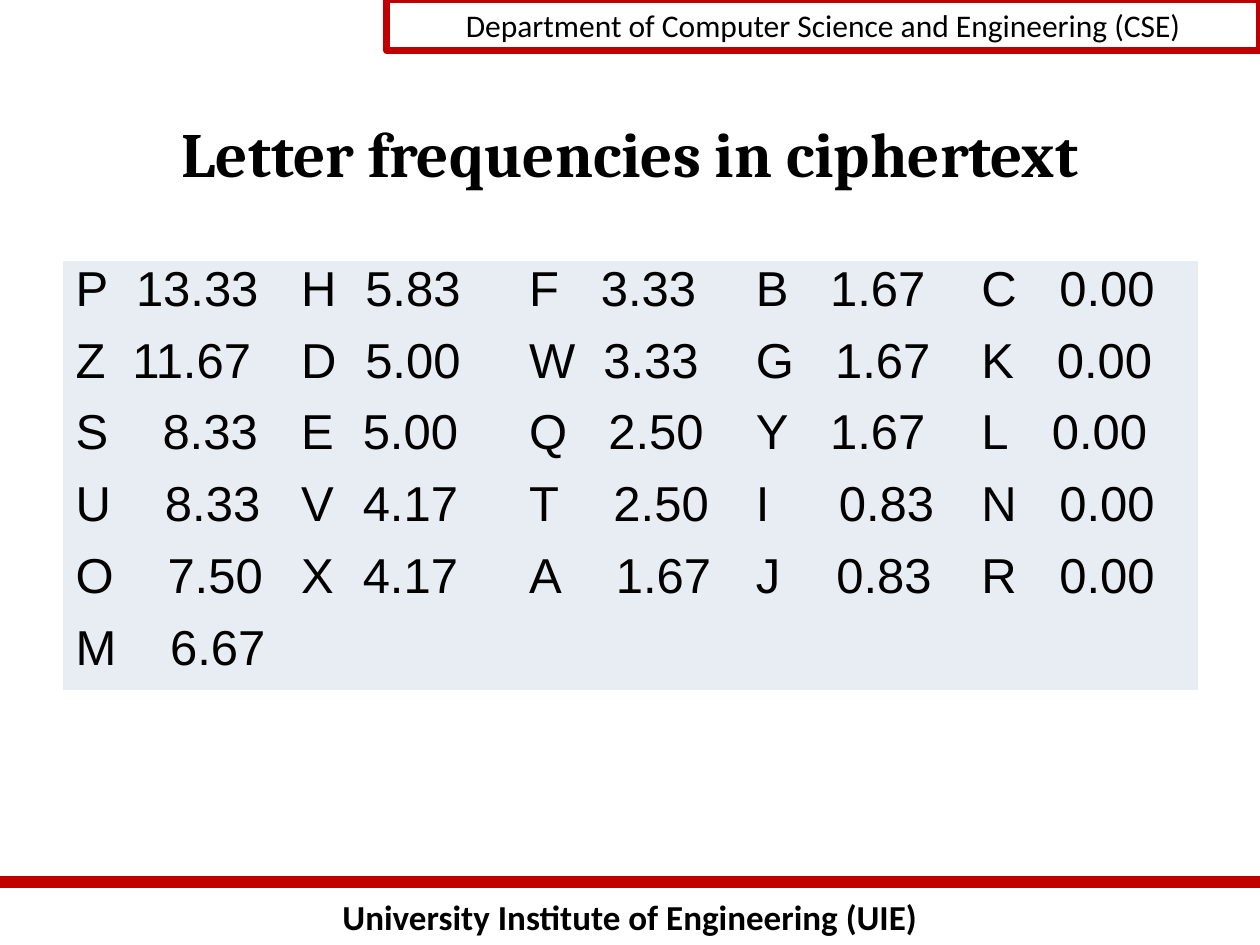
from dataclasses import dataclass

from lxml import etree
from pptx import Presentation, util as u
from pptx.dml.color import RGBColor
from pptx.enum import shapes, text
from pptx.oxml import ns


@dataclass(frozen=True)
class Theme:
    ink: str = "000000"
    accent: str = "C00000"
    panel: str = "E8ECF3"
    heading_font: str = "Cambria"
    label_font: str = "Calibri"
    data_font: str = "Arial"
    title_size: int = 36
    data_size: int = 28
    footer_size: int = 20
    header_size: int = 18


THEME = Theme()
PLAIN_TABLE = "{2D5ABB26-0587-4C30-8999-92F81FD0307C}"

# Each pair of columns: (letter width, value width), letter indent,
# then rows of letter, frequency and frequency indent
GROUPS = [
    ((0.49, 1.27), 0.10, [
        ("P", "13.33", 0.09), ("Z", "11.67", 0.06), ("S", "8.33", 0.30),
        ("U", "8.33", 0.32), ("O", "7.50", 0.34), ("M", "6.67", 0.36)]),
    ((0.52, 1.15), 0.13, [
        ("H", "5.83", 0.12), ("D", "5.00", 0.12), ("E", "5.00", 0.10),
        ("V", "4.17", 0.10), ("X", "4.17", 0.10)]),
    ((0.74, 1.16), 0.27, [
        ("F", "3.33", 0.10), ("W", "3.33", 0.12), ("Q", "2.50", 0.16),
        ("T", "2.50", 0.20), ("A", "1.67", 0.22)]),
    ((0.62, 1.16), 0.17, [
        ("B", "1.67", 0.14), ("G", "1.67", 0.18), ("Y", "1.67", 0.14),
        ("I", "0.83", 0.21), ("J", "0.83", 0.19)]),
    ((0.61, 1.29), 0.18, [
        ("C", "0.00", 0.19), ("K", "0.00", 0.17), ("L", "0.00", 0.13),
        ("N", "0.00", 0.19), ("R", "0.00", 0.19)]),
]
ROW_HEIGHTS = [0.55, 0.57, 0.57, 0.57, 0.57, 0.58]


def color(value):
    return RGBColor.from_string(value)


def write(frame, words, *, font, size, bold=False, align=text.PP_ALIGN.LEFT):
    para = frame.paragraphs[0]
    para.alignment = align
    span = para.add_run()
    span.text = words
    span.font.name, span.font.size = font, u.Pt(size)
    span.font.bold = bold
    span.font.color.rgb = color(THEME.ink)


class Slide:
    """Places elements by shares of the page's width and height."""

    def __init__(self, deck, theme):
        self.deck, self.theme = deck, theme
        self.page = deck.slides.add_slide(deck.slide_layouts[6])

    def area(self, *shares):
        sides = (self.deck.slide_width, self.deck.slide_height) * 2
        return [round(share * side) for share, side in zip(shares, sides)]

    def label(self, words, shares, *, anchor=text.MSO_ANCHOR.TOP, **style):
        box = self.page.shapes.add_textbox(*self.area(*shares))
        box.text_frame.word_wrap = True
        box.text_frame.vertical_anchor = anchor
        write(box.text_frame, words, align=text.PP_ALIGN.CENTER, **style)

    def framed_label(self, words, shares, *, width, **style):
        box = self.page.shapes.add_shape(
            shapes.MSO_SHAPE.RECTANGLE, *self.area(*shares))
        box.shadow.inherit = False
        box.fill.background()
        box.line.color.rgb = color(self.theme.accent)
        box.line.width = u.Pt(width)
        box.text_frame.word_wrap = True
        box.text_frame.vertical_anchor = text.MSO_ANCHOR.TOP
        write(box.text_frame, words, align=text.PP_ALIGN.CENTER, **style)

    def rule(self, height, *, width):
        line = self.page.shapes.add_connector(
            shapes.MSO_CONNECTOR.STRAIGHT, *self.area(0, height, 1, height))
        line.line.color.rgb = color(self.theme.accent)
        line.line.width = u.Pt(width)
        etree.SubElement(line._element.spPr, ns.qn("a:effectLst"))

    def frequency_table(self, groups, heights, shares):
        widths = [width for pair, _, _ in groups for width in pair]
        frame = self.page.shapes.add_table(
            len(heights), len(widths), *self.area(*shares))
        table = frame.table
        table.first_row = table.horz_banding = False
        table._tbl.tblPr.find(ns.qn("a:tableStyleId")).text = PLAIN_TABLE
        for column, width in zip(table.columns, widths):
            column.width = u.Inches(width)
        for row, height in zip(table.rows, heights):
            row.height = u.Inches(height)
        for cell in table.iter_cells():
            cell.fill.solid()
            cell.fill.fore_color.rgb = color(self.theme.panel)
        for pair, (_, letter_indent, entries) in enumerate(groups):
            for row, (letter, value, value_indent) in enumerate(entries):
                top = 0.03 if row else 0.01
                self.fill_cell(table.cell(row, 2 * pair), letter,
                               letter_indent, top)
                self.fill_cell(table.cell(row, 2 * pair + 1), value,
                               value_indent, top)

    def fill_cell(self, cell, words, indent, top):
        cell.margin_left, cell.margin_top = u.Inches(indent), u.Inches(top)
        cell.margin_right = cell.margin_bottom = 0
        write(cell.text_frame, words,
              font=self.theme.data_font, size=self.theme.data_size)


def main():
    deck = Presentation()
    deck.slide_width, deck.slide_height = u.Inches(10), u.Inches(7.5)
    slide = Slide(deck, THEME)

    # Footer and header bands
    slide.label("University Institute of Engineering (UIE)",
                (0, 7.06 / 7.5, 1, 0.44 / 7.5), bold=True,
                font=THEME.label_font, size=THEME.footer_size)
    slide.rule(7 / 7.5, width=7)
    slide.framed_label("Department of Computer Science and Engineering (CSE)",
                       (0.307, 0, 0.693, 0.4 / 7.5), width=4,
                       font=THEME.label_font, size=THEME.header_size)

    # Title
    slide.label("Letter frequencies in ciphertext",
                (0.081, 0.9 / 7.5, 0.838, 0.62 / 7.5), bold=True,
                anchor=text.MSO_ANCHOR.MIDDLE,
                font=THEME.heading_font, size=THEME.title_size)

    # Letter frequencies
    slide.frequency_table(GROUPS, ROW_HEIGHTS,
                          (0.05, 2.07 / 7.5, 0.9, 3.4 / 7.5))

    deck.save("out.pptx")


if __name__ == "__main__":
    main()
